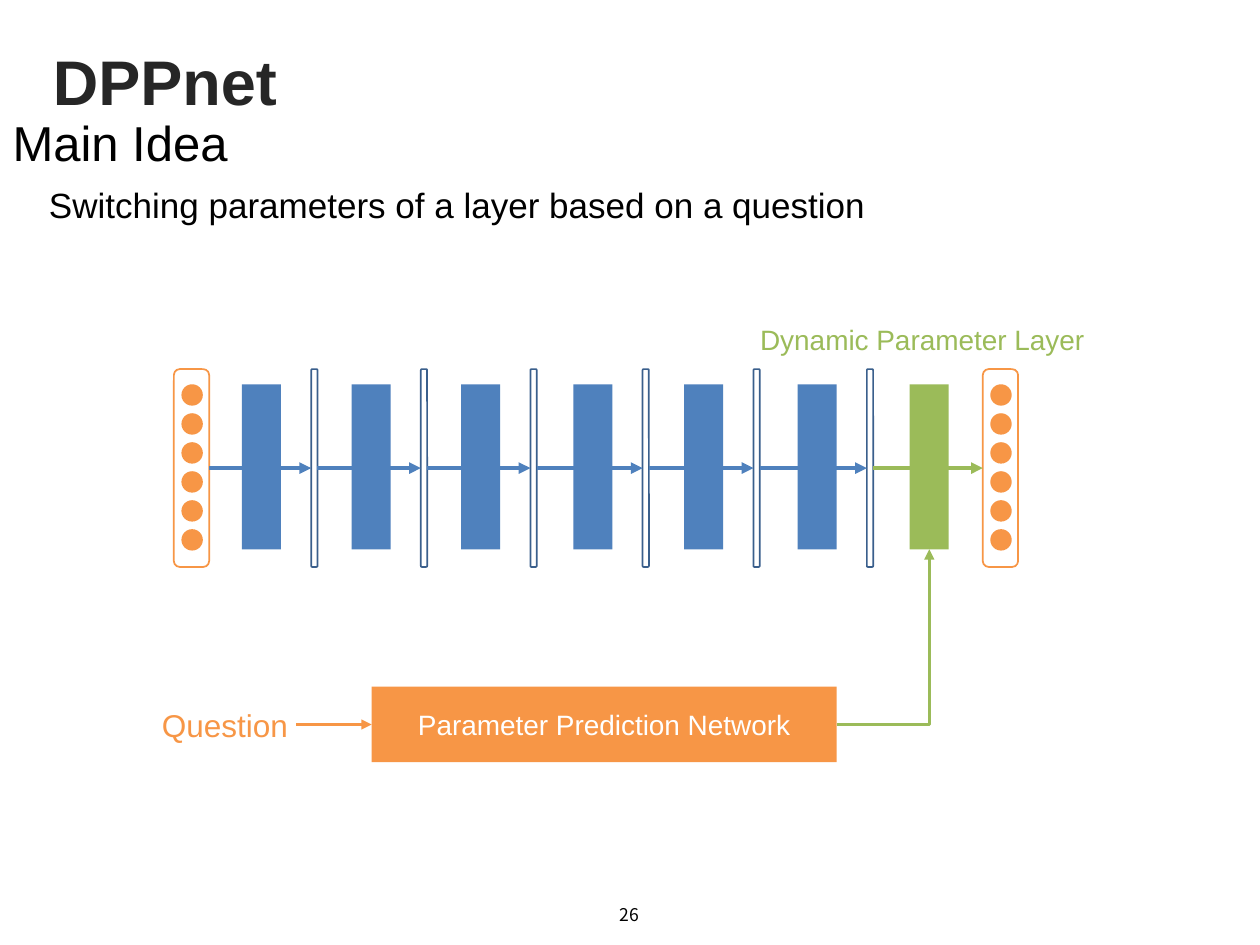
"""Build the DPPnet main idea slide with its layer diagram."""
from lxml import etree
from pptx import Presentation
from pptx.dml.color import RGBColor
from pptx.enum import shapes, text
from pptx.oxml import ns
from pptx.util import Inches, Pt

BLUE, NAVY, GREEN, ORANGE = "4F81BD", "3A5F8C", "9BBB59", "F79646"
BLACK, WHITE, DARK = "000000", "FFFFFF", "262626"
LEFT, CENTER = text.PP_ALIGN.LEFT, text.PP_ALIGN.CENTER
SHAPE = shapes.MSO_SHAPE

TITLE = ("DPPnet", (0.32, 0.28, 9.38, 0.72), 36, DARK, LEFT)
HEADING = ("Main Idea", (0, 0.8, 10, 0.66), 28, BLACK, LEFT)
LABELS = [
    ("Switching parameters of a layer based on a question",
     (0.29, 1.39, 9.71, 0.47), 20, BLACK, LEFT),
    ("Dynamic Parameter Layer", (5.78, 2.49, 3.08, 0.41), 16, GREEN, CENTER),
]
QUESTION = ("Question", (1.22, 5.58, 1.13, 0.34), 18, ORANGE, CENTER)
NETWORK = ("Parameter Prediction Network", (2.95, 5.45, 3.69, 0.6), 16, WHITE, CENTER)
PAGE_NUMBER = ("26", (3.83, 7.06, 2.33, 0.4), 10, BLACK, CENTER)

LAYER_LEFTS = [1.92, 2.79, 3.66, 4.55, 5.43, 6.33, 7.22]
LAYER_TOP, LAYER_WIDTH, LAYER_HEIGHT = 3.05, 0.31, 1.31
FRAME_TOP, FRAME_HEIGHT = 2.93, 1.57
DIVIDER_GAP, DIVIDER_WIDTH = 0.56, 0.05
VECTOR_LEFTS, VECTOR_WIDTH = [1.38, 7.8], 0.28
DOT_COUNT, DOT_SIZE, DOT_STEP, DOT_INSET = 6, 0.17, 0.23, 0.06


def color(value):
    return RGBColor.from_string(value)


def write(box, content, place=True, font="Arial", bold=False, inset=None):
    words, bounds, size, ink, align = content
    if place:
        box.left, box.top, box.width, box.height = map(Inches, bounds)
    frame = box.text_frame
    frame.word_wrap = True
    frame.auto_size = text.MSO_AUTO_SIZE.NONE
    frame.vertical_anchor = text.MSO_ANCHOR.MIDDLE
    if inset is not None:
        frame.margin_left = frame.margin_right = Inches(inset)
        frame.margin_top = frame.margin_bottom = Inches(inset)
    para = frame.paragraphs[0]
    para.text = words
    para.alignment = align
    para.space_before = Pt(0)
    para.font.name, para.font.size, para.font.bold = font, Pt(size), bold
    para.font.color.rgb = color(ink)
    return box


def add_label(page, content, **style):
    box = page.shapes.add_textbox(*map(Inches, content[1]))
    return write(box, content, place=False, **style)


def add_block(parent, kind, bounds, fill=None, line=None):
    block = parent.shapes.add_shape(kind, *map(Inches, bounds))
    block.shadow.inherit = False
    if fill:
        block.fill.solid()
        block.fill.fore_color.rgb = color(fill)
    else:
        block.fill.background()
    if line:
        block.line.color.rgb = color(line)
        block.line.width = Pt(1)
    else:
        block.line.fill.background()
    return block


def add_vector(page, left):
    group = page.shapes.add_group_shape()
    for index in range(DOT_COUNT):
        top = LAYER_TOP + index * DOT_STEP
        add_block(group, SHAPE.OVAL, (left + DOT_INSET, top, DOT_SIZE, DOT_SIZE), fill=ORANGE)
    bounds = (left, FRAME_TOP, VECTOR_WIDTH, FRAME_HEIGHT)
    return add_block(group, SHAPE.ROUNDED_RECTANGLE, bounds, line=ORANGE)


def add_arrow(page, start, end, ink, width, sides=(3, 1), bent=False):
    kind = shapes.MSO_CONNECTOR.ELBOW if bent else shapes.MSO_CONNECTOR.STRAIGHT
    arrow = page.shapes.add_connector(kind, 0, 0, 0, 0)
    arrow.begin_connect(start, sides[0])
    arrow.end_connect(end, sides[1])
    arrow.line.color.rgb = color(ink)
    arrow.line.width = Pt(width)
    etree.SubElement(arrow.line._get_or_add_ln(), ns.qn("a:tailEnd"), type="triangle")
    properties = arrow._element.spPr
    etree.SubElement(properties, ns.qn("a:effectLst"))
    if bent:
        properties.find(ns.qn("a:prstGeom")).set("prst", "bentConnector2")


def add_layers(page):
    stops = [add_vector(page, VECTOR_LEFTS[0])]
    for left in LAYER_LEFTS:
        dynamic = left == LAYER_LEFTS[-1]
        bounds = (left, LAYER_TOP, LAYER_WIDTH, LAYER_HEIGHT)
        layer = add_block(page, SHAPE.RECTANGLE, bounds, fill=GREEN if dynamic else BLUE)
        if not dynamic:
            bounds = (left + DIVIDER_GAP - 0.01, FRAME_TOP, DIVIDER_WIDTH, FRAME_HEIGHT)
            stops.append(add_block(page, SHAPE.ROUNDED_RECTANGLE, bounds, line=NAVY))
    stops.append(add_vector(page, VECTOR_LEFTS[1]))
    for start, end in zip(stops, stops[1:]):
        add_arrow(page, start, end, GREEN if end is stops[-1] else BLUE, 2.25)
    return layer


def main():
    deck = Presentation()
    deck.slide_width, deck.slide_height = Inches(10), Inches(7.5)
    page = deck.slides.add_slide(deck.slide_layouts[1])
    write(page.shapes.title, TITLE, bold=True)
    body = page.placeholders[1]
    settings = body.text_frame.paragraphs[0]._p.get_or_add_pPr()
    settings.set("marL", "0")
    settings.set("indent", "0")
    etree.SubElement(settings, ns.qn("a:buNone"))
    write(body, HEADING)
    for label in LABELS:
        add_label(page, label)
    add_label(page, PAGE_NUMBER, font="Noto Sans CJK KR")

    dynamic_layer = add_layers(page)
    question = add_label(page, QUESTION, inset=0)
    network = add_block(page, SHAPE.RECTANGLE, NETWORK[1], fill=ORANGE)
    write(network, NETWORK, place=False)
    add_arrow(page, question, network, ORANGE, 1.5)
    add_arrow(page, network, dynamic_layer, GREEN, 1.5, sides=(3, 2), bent=True)
    deck.save("out.pptx")


if __name__ == "__main__":
    main()
